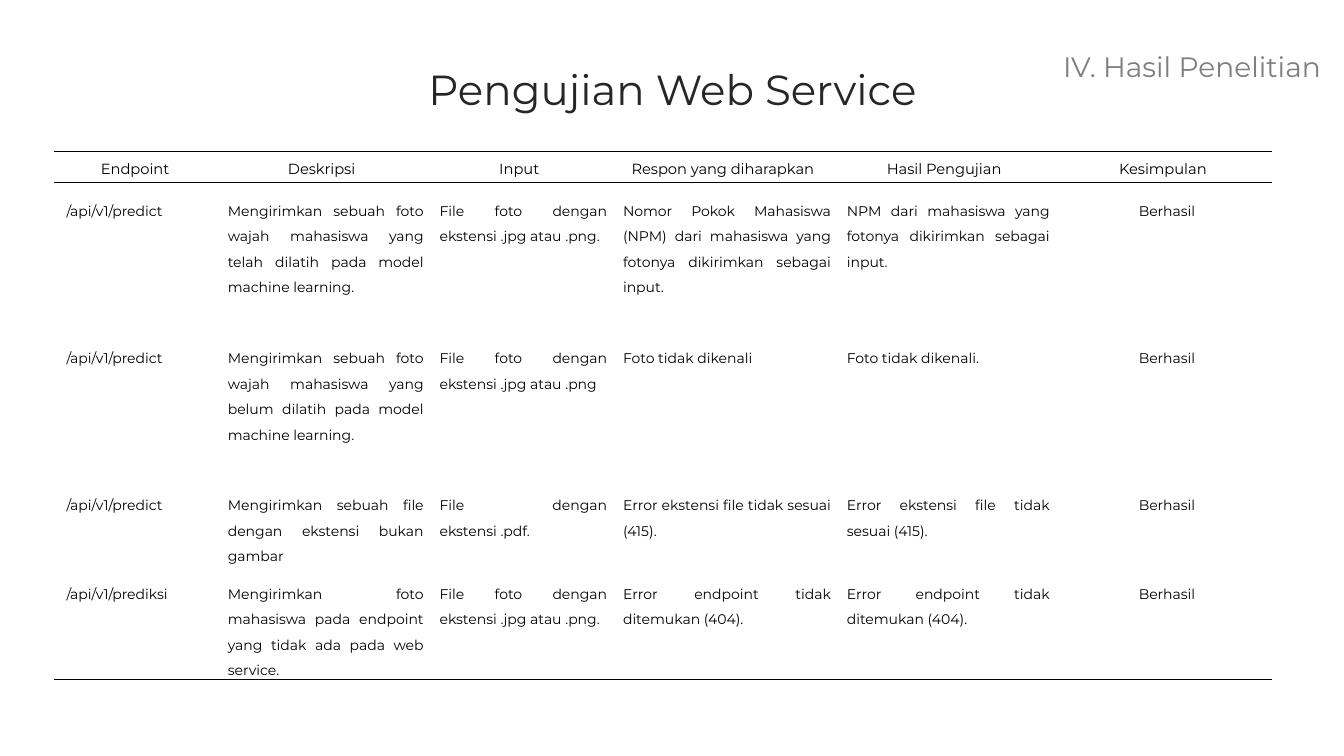
import pptx
import pptx.dml.color
import pptx.enum.text
import pptx.oxml
import pptx.oxml.ns
import pptx.util

Inches = pptx.util.Inches
Pt = pptx.util.Pt
RGBColor = pptx.dml.color.RGBColor
ALIGN = pptx.enum.text.PP_ALIGN
ANCHOR = pptx.enum.text.MSO_ANCHOR

BLACK = RGBColor(0x00, 0x00, 0x00)
DARK = RGBColor(0x26, 0x26, 0x26)
GRAY = RGBColor(0x7F, 0x7F, 0x7F)
FONT = "Montserrat"

HEADS = ["Endpoint", "Deskripsi", "Input", "Respon yang diharapkan",
         "Hasil Pengujian", "Kesimpulan"]
TESTS = [
    ["/api/v1/predict",
     "Mengirimkan sebuah foto wajah mahasiswa yang telah dilatih pada model machine learning.",
     "File foto dengan ekstensi .jpg atau .png.",
     "Nomor Pokok Mahasiswa (NPM) dari mahasiswa yang fotonya dikirimkan sebagai input.",
     "NPM dari mahasiswa yang fotonya dikirimkan sebagai input.",
     "Berhasil"],
    ["/api/v1/predict",
     "Mengirimkan sebuah foto wajah mahasiswa yang belum dilatih pada model machine learning.",
     "File foto dengan ekstensi .jpg atau .png",
     "Foto tidak dikenali",
     "Foto tidak dikenali.",
     "Berhasil"],
    ["/api/v1/predict",
     "Mengirimkan sebuah file dengan ekstensi bukan gambar",
     "File dengan ekstensi .pdf.",
     "Error ekstensi file tidak sesuai (415).",
     "Error ekstensi file tidak sesuai (415).",
     "Berhasil"],
    ["/api/v1/prediksi",
     "Mengirimkan foto mahasiswa pada endpoint yang tidak ada pada web service.",
     "File foto dengan ekstensi .jpg atau .png.",
     "Error endpoint tidak ditemukan (404).",
     "Error endpoint tidak ditemukan (404).",
     "Berhasil"],
]
WIDTHS = [1.6, 2.1, 1.82, 2.22, 2.17, 2.17]
HEIGHTS = [0.31, 1.46, 1.46, 0.8, 1.13]


def write(frame, text, size, color, align, space):
    frame.text = text
    para = frame.paragraphs[0]
    para.alignment = align
    para.line_spacing = space
    font = para.runs[0].font
    font.name = FONT
    font.size = Pt(size)
    font.color.rgb = color


def rule(cell, sides):
    """Draw black lines on the given sides of a cell and none on the others."""
    props = cell._tc.get_or_add_tcPr()
    for side in "LRTB":
        if side in sides:
            fill = f'<a:solidFill><a:srgbClr val="{BLACK}"/></a:solidFill>'
        else:
            fill = "<a:noFill/>"
        props.append(pptx.oxml.parse_xml(
            f'<a:ln{side} {pptx.oxml.ns.nsdecls("a")} w="{Pt(1)}">{fill}</a:ln{side}>'))


deck = pptx.Presentation()
deck.slide_width = Inches(13.33)
deck.slide_height = Inches(7.5)
slide = deck.slides.add_slide(deck.slide_layouts[5])

title = slide.shapes.title
title.left, title.top = Inches(3.46), Inches(0.54)
title.width, title.height = Inches(6.42), Inches(0.75)
write(title.text_frame, "Pengujian Web Service", 30, DARK, ALIGN.CENTER, 0.9)

part = slide.shapes.add_textbox(Inches(9.59), Inches(0.43), Inches(3.61), Inches(0.49))
write(part.text_frame, "IV. Hasil Penelitian", 20, GRAY, ALIGN.RIGHT, 0.9)

for frame in (title.text_frame, part.text_frame):
    frame.word_wrap = True
    frame.auto_size = pptx.enum.text.MSO_AUTO_SIZE.NONE
    frame.vertical_anchor = ANCHOR.MIDDLE

rows = [HEADS] + TESTS
table = slide.shapes.add_table(
    len(rows), len(HEADS), Inches(0.54), Inches(1.5),
    Inches(sum(WIDTHS)), Inches(sum(HEIGHTS))).table
table.first_row = False
table.horz_banding = False
for column, width in zip(table.columns, WIDTHS):
    column.width = Inches(width)
for row, height in zip(table.rows, HEIGHTS):
    row.height = Inches(height)

last_row = len(rows) - 1
last_col = len(HEADS) - 1
sides = {0: "TB", 1: "T", last_row: "B"}
for r, texts in enumerate(rows):
    for c, text in enumerate(texts):
        cell = table.cell(r, c)
        head = r == 0
        cell.margin_left = Inches(0.04 if head else 0.12)
        cell.margin_top = Inches(0 if head else 0.12)
        cell.margin_right = Inches(0.04)
        cell.margin_bottom = 0
        cell.vertical_anchor = ANCHOR.TOP
        align = ALIGN.CENTER if head or c == last_col else ALIGN.JUSTIFY
        write(cell.text_frame, text, 10.5 if head else 10, BLACK, align, 1.5)
        if c == last_col:
            cell.text_frame.paragraphs[0].space_after = Pt(8)
        rule(cell, sides.get(r, ""))
        cell.fill.background()

deck.save("out.pptx")
